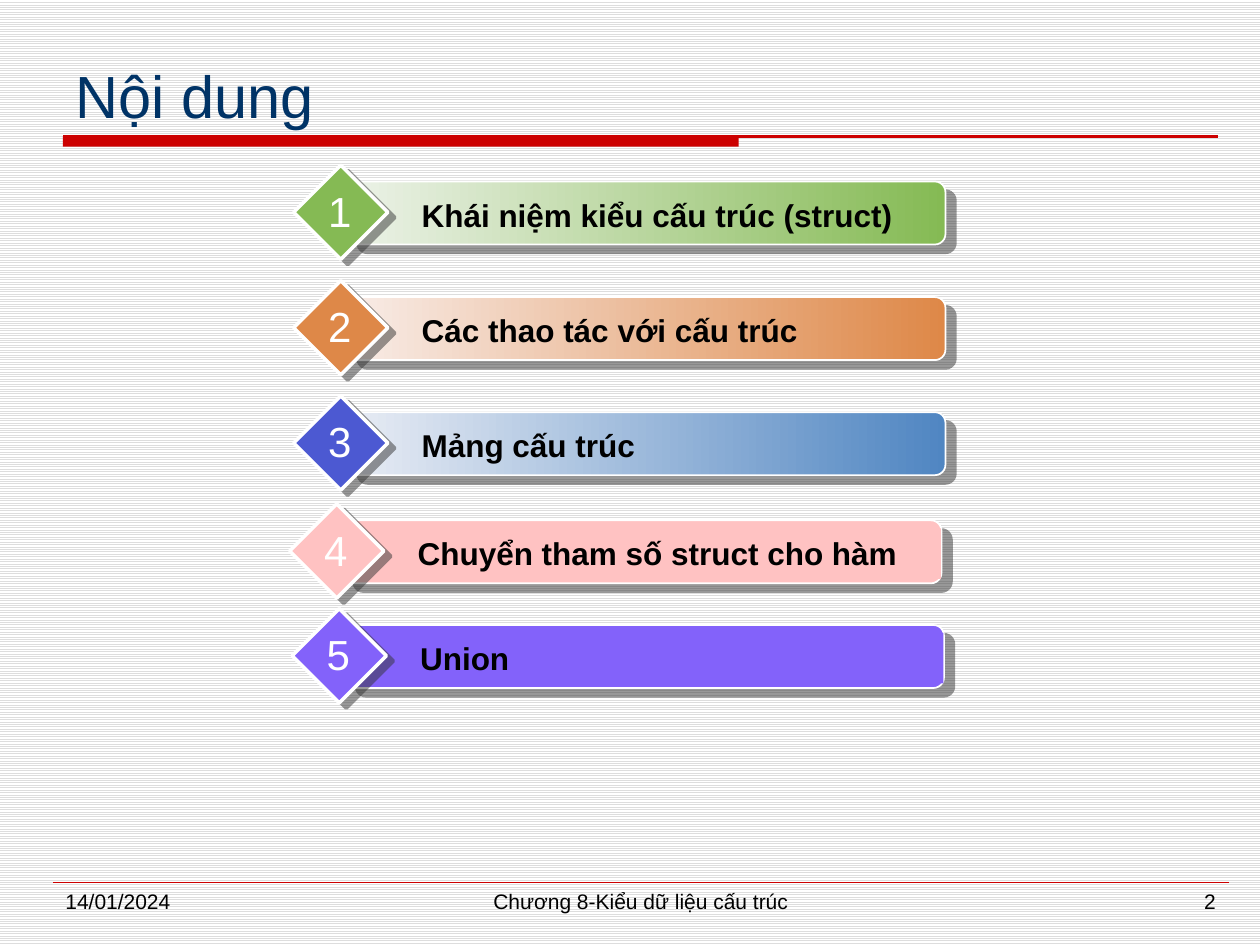
from lxml import etree
from pptx import Presentation
from pptx.dml.color import RGBColor
from pptx.enum import dml, shapes, text
from pptx.oxml.ns import qn
from pptx.util import Cm, Pt

FONT = "Arial"
HEX = {
    "white": "FFFFFF", "black": "000000", "stripe": "DDDDDD", "shade": "333333",
    "title": "003366", "red": "CC0000",
    "green": "85BA54", "mint": "ECF2E8", "orange": "DE8848", "peach": "F8ECE7",
    "blue": "5086C2", "ice": "E8ECF4", "indigo": "4C59D2",
    "pink": "FFC2C2", "violet": "8362FA",
}
TITLE = "Nội dung"
# label, left, top, badge colour, bar colours (two make a gradient)
ITEMS = [
    ("Khái niệm kiểu cấu trúc (struct)", 5.92, 3.33, "green", ("mint", "green")),
    ("Các thao tác với cấu trúc", 5.92, 5.66, "orange", ("peach", "orange")),
    ("Mảng cấu trúc", 5.92, 7.98, "indigo", ("ice", "blue")),
    ("Chuyển tham số struct cho hàm", 5.84, 10.16, "pink", ("pink",)),
    ("Union", 5.89, 12.27, "violet", ("violet",)),
]
# text, left, width, alignment
FOOT = [
    ("14/01/2024", 1.07, 5.51, text.PP_ALIGN.LEFT),
    ("Chương 8-Kiểu dữ liệu cấu trúc", 7.42, 11.0, text.PP_ALIGN.CENTER),
    ("2", 19.25, 5.51, text.PP_ALIGN.RIGHT),
]


def rgb(name):
    return RGBColor.from_string(HEX[name])


def paint(fill, name):
    fill.solid()
    fill.fore_color.rgb = rgb(name)


def write(frame, words, size, color, align=text.PP_ALIGN.LEFT, bold=False):
    para = frame.paragraphs[0]
    para.alignment = align
    run = para.add_run()
    run.text = words
    font = run.font
    font.name, font.size, font.bold = FONT, Pt(size), bold
    font.color.rgb = rgb(color)


def add_text(parent, box, words, *style, wrap=True, **more):
    shape = parent.add_textbox(*map(Cm, box))
    shape.text_frame.word_wrap = wrap
    write(shape.text_frame, words, *style, **more)
    return shape


def add_line(parent, x1, x2, y, width):
    line = parent.add_connector(shapes.MSO_CONNECTOR.STRAIGHT, *map(Cm, (x1, y, x2, y)))
    line.line.color.rgb = rgb("red")
    line.line.width = Pt(width)
    etree.SubElement(line._element.spPr, qn("a:effectLst"))


def add_shadow(shape, dist, angle):
    """Give the shape a hard, half-transparent shadow."""
    shape.shadow.inherit = False
    effects = shape._element.spPr.find(qn("a:effectLst"))
    outer = etree.SubElement(effects, qn("a:outerShdw"), blurRad="0", dist=str(Pt(dist)),
                             dir=str(angle * 60000), algn="ctr", rotWithShape="0")
    color = etree.SubElement(outer, qn("a:srgbClr"), val=HEX["shade"])
    etree.SubElement(color, qn("a:alpha"), val="50000")


def add_shape(parent, kind, box, colors, width, dist, angle):
    shape = parent.add_shape(kind, *map(Cm, box))
    if len(colors) == 1:
        paint(shape.fill, colors[0])
    else:
        shape.fill.gradient()
        shape.fill.gradient_angle = 0
        for stop, name in zip(shape.fill.gradient_stops, colors):
            stop.color.rgb = rgb(name)
    shape.line.color.rgb = rgb("white")
    shape.line.width = Pt(width)
    add_shadow(shape, dist, angle)


def add_item(slide, num, label, x, y, badge, bar):
    group = slide.shapes.add_group_shape().shapes
    kinds = shapes.MSO_SHAPE
    add_shape(group, kinds.ROUNDED_RECTANGLE, (x + 1.07, y + 0.33, 12.07, 1.27), bar, 1, 7.8, 40)
    add_shape(group, kinds.DIAMOND, (x, y, 1.9, 1.9), (badge,), 2, 5, 37)
    tag = add_text(group, (x + 2.33, y + 0.49, 10.8, 1.02), label, 18, "black", bold=True)
    if len(bar) == 1:
        paint(tag.fill, bar[0])
    add_text(group, (x + 0.43, y + 0.28, 1, 1.27), str(num), 24, "white",
             text.PP_ALIGN.CENTER, wrap=False)


def main():
    deck = Presentation()
    deck.slide_width, deck.slide_height = Cm(25.4), Cm(19.05)
    slide = deck.slides.add_slide(deck.slide_layouts[5])

    back = slide.background.fill
    back.patterned()
    back.pattern = dml.MSO_PATTERN.LIGHT_HORIZONTAL
    back.fore_color.rgb, back.back_color.rgb = rgb("stripe"), rgb("white")

    band = slide.shapes.add_shape(shapes.MSO_SHAPE.RECTANGLE, *map(Cm, (1.27, 2.75, 13.62, 0.21)))
    paint(band.fill, "red")
    band.line.fill.background()
    band.shadow.inherit = False
    add_line(slide.shapes, 1.27, 24.55, 2.75, 1.5)
    add_line(slide.shapes, 1.07, 24.77, 17.78, 0.25)

    title = slide.shapes.title
    title.left, title.top, title.width, title.height = map(Cm, (1.27, 0.85, 23.28, 1.9))
    title.text_frame.vertical_anchor = text.MSO_ANCHOR.BOTTOM
    write(title.text_frame, TITLE, 34, "title")

    for num, item in enumerate(ITEMS, 1):
        add_item(slide, num, *item)
    for words, left, width, align in FOOT:
        add_text(slide.shapes, (left, 17.78, width, 0.89), words, 12, "black", align)

    deck.save("out.pptx")


if __name__ == "__main__":
    main()
